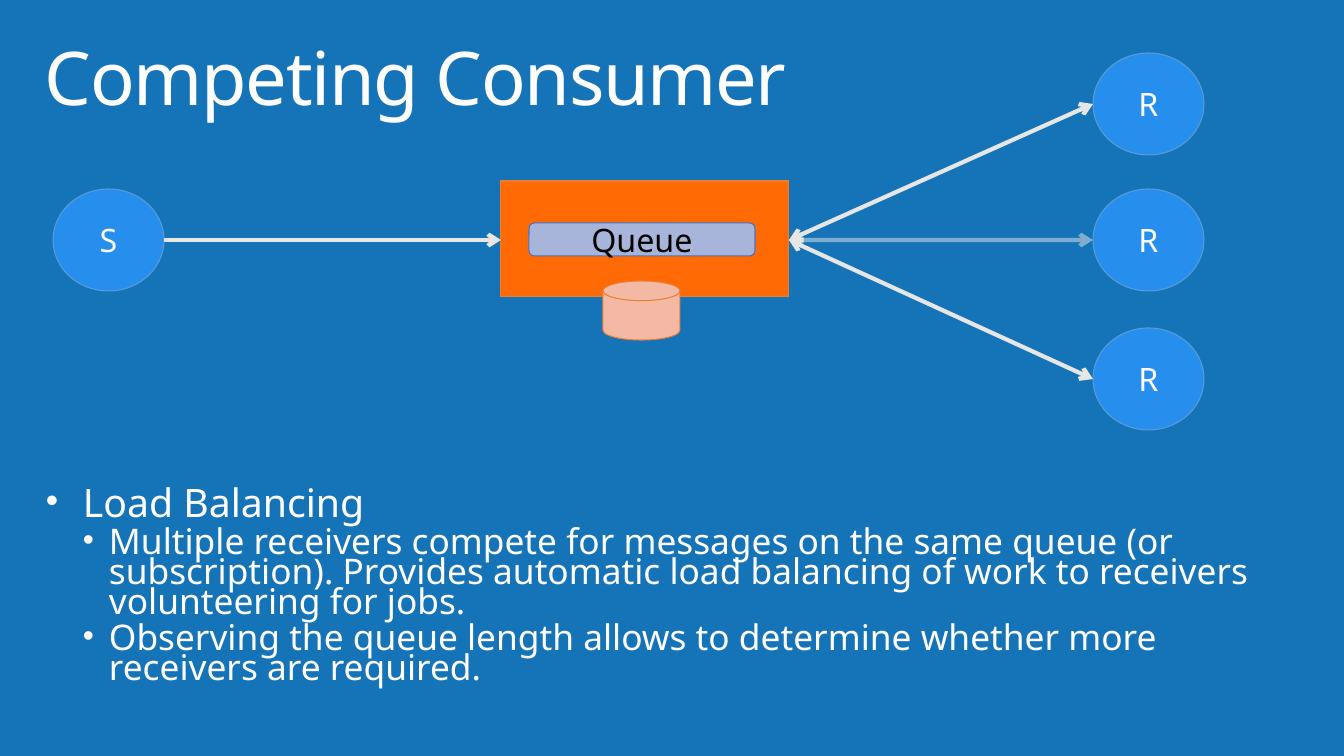
from lxml import etree
from pptx import Presentation, util as u
from pptx.dml.color import RGBColor
from pptx.enum import shapes, text
from pptx.oxml.ns import qn

SCALE = 914400 / 100.8  # EMU per pixel
THEME = {
    "font": "Noto Sans", "background": "1574B8", "white": "FFFFFF", "black": "000000",
    "node": ("268FEE", "5B9BD5"), "broker": ("FF6A05", "ED7D31"),
    "queue": ("A8B5DB", "4472C4"), "store": ("F3B9A4", "ED7D31"), "arrow": "E7E6E6",
    "title_size": 52.9, "level_sizes": (28, 25.2), "label_size": 23,
    "outline": 0.75, "arrow_width": 3,
}
TITLE = "Competing Consumer"
BULLETS = [
    (0, "Load Balancing"),
    (1, "Multiple receivers compete for messages on the same queue (or subscription). "
        "Provides automatic load balancing of work to receivers volunteering for jobs."),
    (1, "Observing the queue length allows to determine whether more receivers are required. "),
]
INDENTS = [(37, -37), (63, -26)]  # left margin and first line, per level

NODE_W, NODE_H = 111, 102
AXIS_Y = 240
SENDER_X, RECEIVER_X = 53, 1093
RECEIVERS = [(104, None), (AXIS_Y, 50), (379, None)]  # centre y, arrow opacity in %
BROKER = (501, 181, 288, 116)
QUEUE = (529, 223, 226, 33)
STORE = (603, 281, 77, 59)
TITLE_BOX = (29, 32, 1272, 99)
BODY_BOX = (30, 481, 1242, 228)


def px(value):
    """Turn pixels into EMU."""
    return u.Emu(round(value * SCALE))


def apply(target, **values):
    """Set every given attribute on the target."""
    for name, value in values.items():
        setattr(target, name, value)


def sub(parent, tag, **attributes):
    """Append a DrawingML child with the given attributes."""
    return etree.SubElement(parent, qn("a:" + tag), attributes)


def write(para, words, size, colour):
    """Add one styled run to a paragraph."""
    span = para.add_run()
    span.text = words
    apply(span.font, name=THEME["font"], size=u.Pt(size))
    span.font.color.rgb = RGBColor.from_string(colour)
    return span


def add_text_frame(page, box):
    """Add a wrapping text box and return its frame."""
    frame = page.shapes.add_textbox(*map(px, box)).text_frame
    apply(frame, word_wrap=True, margin_left=px(16), margin_right=px(16),
          margin_top=px(10), margin_bottom=px(10))
    return frame


def add_title(page):
    """Add the tightly tracked title."""
    para = add_text_frame(page, TITLE_BOX).paragraphs[0]
    para.line_spacing = 0.9
    span = write(para, TITLE, THEME["title_size"], THEME["white"])
    span.font._element.set("spc", "-100")


def add_bullets(page):
    """Add the two-level bullet list."""
    frame = add_text_frame(page, BODY_BOX)
    for index, (level, words) in enumerate(BULLETS):
        para = frame.add_paragraph() if index else frame.paragraphs[0]
        apply(para, level=level, line_spacing=0.7)
        margin, indent = INDENTS[level]
        props = para._p.get_or_add_pPr()
        props.set("marL", str(px(margin)))
        props.set("indent", str(px(indent)))
        sub(sub(props, "spcBef"), "spcPct", val="20000")
        sub(props, "buSzPct", val="90000")
        sub(props, "buFont", typeface="Arial")
        sub(props, "buChar", char="•")
        write(para, words, THEME["level_sizes"][level], THEME["white"])


def add_part(page, kind, box, style, label=None, colour=THEME["white"]):
    """Add a filled, outlined shape with an optional centred label."""
    part = page.shapes.add_shape(kind, *map(px, box))
    part.shadow.inherit = False
    fill, line = THEME[style]
    part.fill.solid()
    part.fill.fore_color.rgb = RGBColor.from_string(fill)
    part.line.color.rgb = RGBColor.from_string(line)
    part.line.width = u.Pt(THEME["outline"])
    if label:
        apply(part.text_frame, word_wrap=True, vertical_anchor=text.MSO_ANCHOR.MIDDLE)
        para = part.text_frame.paragraphs[0]
        para.alignment = text.PP_ALIGN.CENTER
        write(para, label, THEME["label_size"], colour)


def add_node(page, left, centre_y, label):
    """Add a round sender or receiver centred on a height."""
    add_part(page, shapes.MSO_SHAPE.OVAL,
             (left, centre_y - NODE_H / 2, NODE_W, NODE_H), "node", label)


def add_arrow(page, start, end, both_ways=False, opacity=None):
    """Add an arrow, optionally double-headed and translucent."""
    arrow = page.shapes.add_connector(shapes.MSO_CONNECTOR.STRAIGHT, *map(px, start + end))
    arrow.line.width = u.Pt(THEME["arrow_width"])
    arrow.line.color.rgb = RGBColor.from_string(THEME["arrow"])
    props = arrow._element.spPr
    line = props.find(qn("a:ln"))
    if opacity:
        sub(line.find(".//" + qn("a:srgbClr")), "alpha", val=str(opacity * 1000))
    if both_ways:
        sub(line, "headEnd", type="arrow")
    sub(line, "tailEnd", type="arrow")
    sub(props, "effectLst")


def build():
    """Build and save the slide."""
    deck = Presentation()
    apply(deck, slide_width=px(1344), slide_height=px(756))
    page = deck.slides.add_slide(deck.slide_layouts[6])
    page.background.fill.solid()
    page.background.fill.fore_color.rgb = RGBColor.from_string(THEME["background"])

    add_title(page)
    add_bullets(page)
    kinds = shapes.MSO_SHAPE
    add_part(page, kinds.RECTANGLE, BROKER, "broker")
    add_part(page, kinds.FLOWCHART_MAGNETIC_DISK, STORE, "store")
    add_part(page, kinds.ROUNDED_RECTANGLE, QUEUE, "queue", "Queue", THEME["black"])

    add_node(page, SENDER_X, AXIS_Y, "S")
    add_arrow(page, (SENDER_X + NODE_W, AXIS_Y), (BROKER[0], AXIS_Y))
    outlet = (BROKER[0] + BROKER[2], AXIS_Y)
    for centre_y, opacity in RECEIVERS:
        add_node(page, RECEIVER_X, centre_y, "R")
        add_arrow(page, outlet, (RECEIVER_X, centre_y), True, opacity)
    deck.save("out.pptx")


build()
